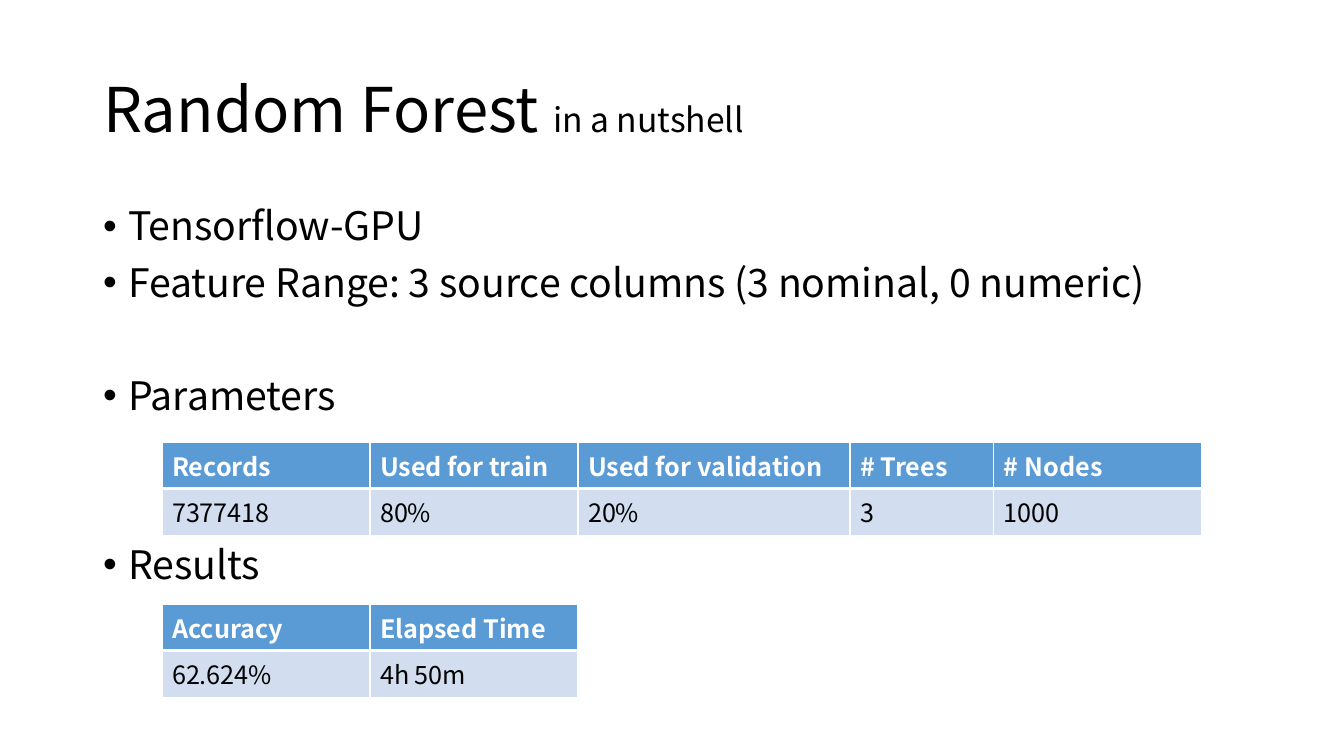
from lxml import etree
from pptx import Presentation
from pptx import util as u
from pptx.dml.color import RGBColor
from pptx.enum import text
from pptx.oxml.ns import qn

FONT = "Noto Sans CJK KR"
BLACK, WHITE, BLUE, PALE = "000000", "FFFFFF", "5B9BD5", "D2DEEF"

# Title runs: wording, size in points
TITLE = [("Random Forest ", 44), ("in a nutshell", 24)]
TITLE_BOX = (93, 40, 1159, 146)

# Bullets: wording, number of free lines above
BULLETS = [
    ("Tensorflow-GPU", 0),
    ("Feature Range: 3 source columns (3 nominal, 0 numeric)", 0),
    ("Parameters", 1),
    ("Results", 2),
]
BODY_BOX = (93, 202, 1159, 480)
GAP, PITCH = 10, 40.35  # points: paragraph gap, line plus gap
INDENT = 25

# Tables: top, column widths, rows
TABLES = [
    (442, [208, 208, 272, 144, 208], [
        ["Records", "Used for train", "Used for validation", "# Trees", "# Nodes"],
        ["7377418", "80%", "20%", "3", "1000"],
    ]),
    (604, [208, 208], [
        ["Accuracy", "Elapsed Time"],
        ["62.624%", "4h 50m"],
    ]),
]
TABLE_LEFT, ROW = 162, 41


def px(n):
    """Turn pixels into EMU."""
    return u.Emu(round(n * 914400 / 100.8))


def rgb(code):
    """Turn a hex string into a colour."""
    return RGBColor.from_string(code)


def style(run, size, color=BLACK, bold=False):
    """Set the font of a run."""
    font = run.font
    font.name, font.size, font.bold = FONT, u.Pt(size), bold
    font.color.rgb = rgb(color)


def place(shape, box, anchor):
    """Move a placeholder and fix its text frame."""
    shape.left, shape.top, shape.width, shape.height = map(px, box)
    frame = shape.text_frame
    frame.auto_size = text.MSO_AUTO_SIZE.NONE
    frame.vertical_anchor = anchor
    return frame


def border(cell, widths):
    """Draw white cell borders; widths maps each side to points."""
    props = cell._tc.get_or_add_tcPr()
    for spot, (side, width) in enumerate(widths.items()):
        line = etree.Element(qn("a:ln" + side), w=str(u.Pt(width)))
        fill = etree.SubElement(line, qn("a:solidFill"))
        etree.SubElement(fill, qn("a:srgbClr"), val=WHITE)
        props.insert(spot, line)


def add_title(slide):
    """Write the title with its small second part."""
    frame = place(slide.shapes.title, TITLE_BOX, text.MSO_ANCHOR.MIDDLE)
    para = frame.paragraphs[0]
    para.alignment = text.PP_ALIGN.LEFT
    para.line_spacing = 0.9
    for words, size in TITLE:
        run = para.add_run()
        run.text = words
        style(run, size)


def add_bullets(slide):
    """Write the list, leaving room for the tables."""
    frame = place(slide.placeholders[1], BODY_BOX, text.MSO_ANCHOR.TOP)
    frame.text = "\n".join(words for words, _ in BULLETS)
    for para, (_, free) in zip(frame.paragraphs, BULLETS):
        para.line_spacing = 0.9
        para.space_before = u.Pt(GAP + free * PITCH)
        props = para._p.get_or_add_pPr()
        props.set("marL", str(px(INDENT)))
        props.set("indent", str(-px(INDENT)))
        style(para.runs[0], 28)


def add_table(slide, top, widths, rows):
    """Add a table with a blue header row."""
    grid = slide.shapes.add_table(
        len(rows), len(widths), px(TABLE_LEFT), px(top),
        px(sum(widths)), px(ROW * len(rows))).table
    for col, width in zip(grid.columns, widths):
        col.width = px(width)
    for r, row in enumerate(rows):
        head = r == 0
        for c, words in enumerate(row):
            cell = grid.cell(r, c)
            cell.text = words
            cell.fill.solid()
            cell.fill.fore_color.rgb = rgb(BLUE if head else PALE)
            style(cell.text_frame.paragraphs[0].runs[0], 18,
                  WHITE if head else BLACK, head)
            border(cell, {"L": 1, "R": 1, "T": 1 if head else 3,
                          "B": 3 if head else 1})


deck = Presentation()
deck.slide_width, deck.slide_height = px(1344), px(756)
slide = deck.slides.add_slide(deck.slide_layouts[1])
add_title(slide)
add_bullets(slide)
for table in TABLES:
    add_table(slide, *table)
deck.save("out.pptx")
